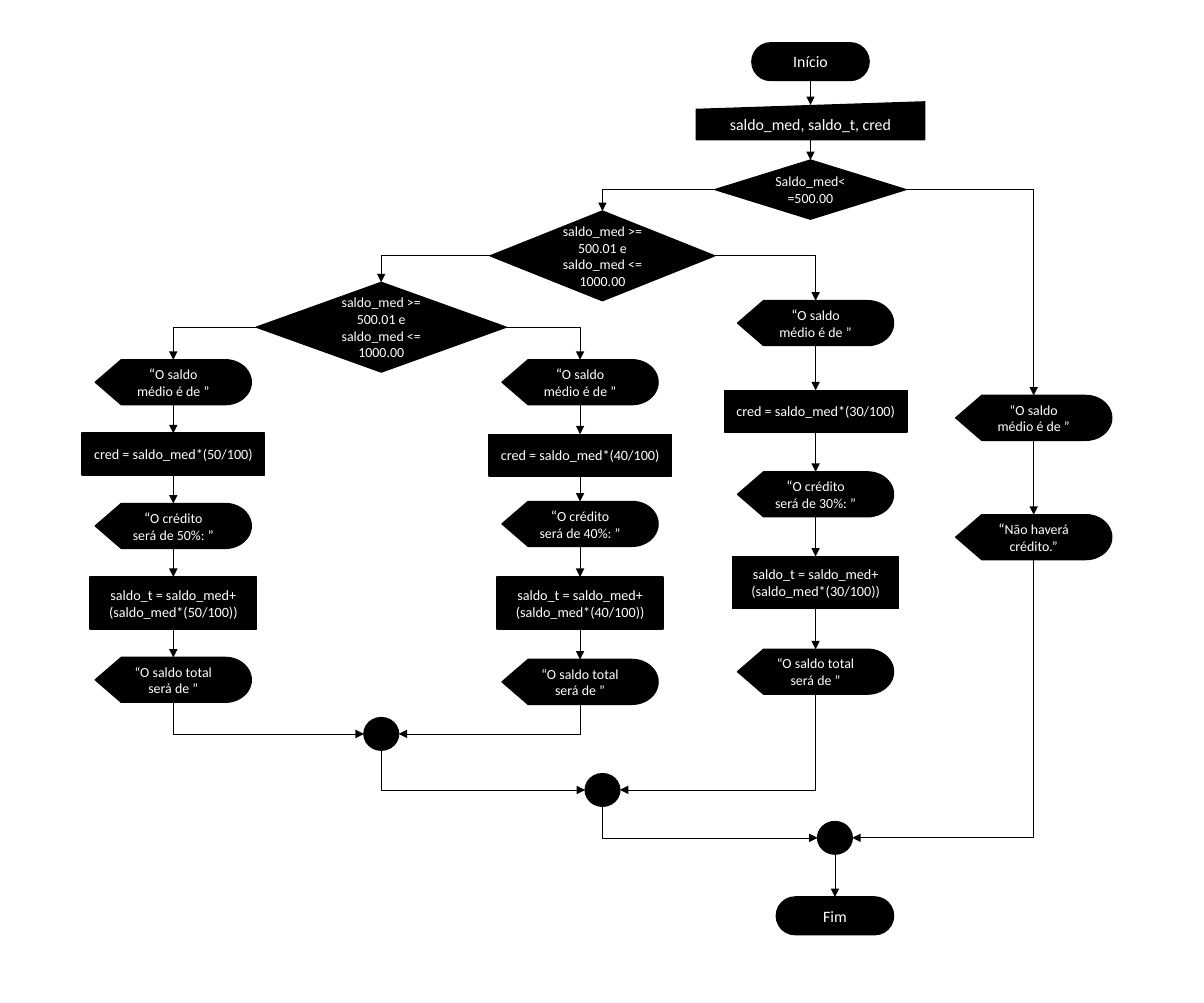
from lxml.etree import SubElement
from pptx import Presentation
from pptx.dml.color import RGBColor
from pptx.enum.shapes import MSO_CONNECTOR as LINK, MSO_SHAPE as SHAPE
from pptx.enum.text import MSO_ANCHOR, PP_ALIGN
from pptx.oxml.ns import qn
from pptx.util import Pt

PX = 9144  # 100 px to the inch
THEME = {
    "ink": RGBColor(0, 0, 0),
    "text": RGBColor(255, 255, 255),
    "font": "Calibri",
    "terminal": 11.2,
    "message": 9.8,
    "quote": 10.5,
    "formula": 10,
    "outline": 1,
    "arrow": 0.5,
}

deck = Presentation()
deck.slide_width, deck.slide_height = 1181 * PX, 984 * PX
slide = deck.slides.add_slide(deck.slide_layouts[6])


def add_step(kind, center, top, width, height, *runs):
    """Place a black step centred on a column; runs are (text, size key)."""
    step = slide.shapes.add_shape(
        kind, int((center - width / 2) * PX), top * PX, width * PX, height * PX)
    step.shadow.inherit = False
    step.fill.solid()
    step.fill.fore_color.rgb = THEME["ink"]
    step.line.color.rgb = THEME["ink"]
    step.line.width = Pt(THEME["outline"])
    frame = step.text_frame
    frame.word_wrap = True
    frame.vertical_anchor = MSO_ANCHOR.MIDDLE
    frame.paragraphs[0].alignment = PP_ALIGN.CENTER
    for text, size in runs:
        run = frame.paragraphs[0].add_run()
        run.text = text
        run.font.name = THEME["font"]
        run.font.size = Pt(THEME[size])
        run.font.color.rgb = THEME["text"]
    return step


def add_arrow(source, target, route="down"):
    """Link two steps: "down", "branch" (across, down) or "join" (down, across)."""
    middle = source.left + source.width // 2
    goal = target.left + target.width // 2
    side = 1 if goal > middle else -1
    if route == "branch":
        x1, y1 = middle + side * source.width // 2, source.top + source.height // 2
        x2, y2 = goal, target.top
    elif route == "join":
        x1, y1 = middle, source.top + source.height
        x2, y2 = goal - side * target.width // 2, target.top + target.height // 2
        # A quarter turn makes the bend leave downwards
        cx, cy, dx, dy = (x1 + x2) // 2, (y1 + y2) // 2, x2 - x1, y2 - y1
        x1, y1, x2, y2 = cx - dy // 2, cy + dx // 2, cx + dy // 2, cy - dx // 2
    else:
        x1, y1, x2, y2 = middle, source.top + source.height, goal, target.top
    arrow = slide.shapes.add_connector(
        LINK.STRAIGHT if route == "down" else LINK.ELBOW, x1, y1, x2, y2)
    arrow.line.color.rgb = THEME["ink"]
    arrow.line.width = Pt(THEME["arrow"])
    props = arrow._element.spPr
    SubElement(props.find(qn("a:ln")), qn("a:tailEnd"), type="triangle")
    SubElement(props, qn("a:effectLst"))
    if route == "down":
        if source.auto_shape_type != SHAPE.FLOWCHART_CONNECTOR:
            arrow.begin_connect(source, 2)
        arrow.end_connect(target, 0)
    else:
        props.find(qn("a:prstGeom")).set("prst", "bentConnector2")
    if route == "join":
        props.find(qn("a:xfrm")).set("rot", "5400000")
    return arrow


# Start, input and the three decisions
start = add_step(SHAPE.FLOWCHART_TERMINATOR, 795, 42, 115, 37, ("Início", "terminal"))
balances = add_step(SHAPE.FLOWCHART_MANUAL_INPUT, 795, 100, 224, 37,
                    ("saldo_med, saldo_t, cred", "terminal"))
low, middle_range, high_range = [
    add_step(SHAPE.FLOWCHART_DECISION, center, top, width, height, (test, "message"))
    for center, top, width, height, test in [
        (795, 157, 187, 58, "Saldo_med<=500.00"),
        (591, 207, 220, 88, "saldo_med >= 500.01 e saldo_med <= 1000.00"),
        (374, 277, 245, 88, "saldo_med >= 500.01 e saldo_med <= 1000.00"),
    ]
]
into_input = add_arrow(start, balances)
into_input.end_y += 3 * PX  # the input's upper edge slopes
add_arrow(balances, low)
add_arrow(low, middle_range, "branch")
add_arrow(middle_range, high_range, "branch")

# Merge points below the decisions
merges = [add_step(SHAPE.FLOWCHART_CONNECTOR, center, top, 34, 32)
          for center, top in [(374, 704), (591, 759), (819, 806)]]

# Credit columns: balance, credit, message, total, message
for percent, center, tops, decision, merge in [
    (50, 170, (353, 425, 494, 566, 645), high_range, merges[0]),
    (40, 569, (353, 426, 492, 566, 647), high_range, merges[0]),
    (30, 800, (295, 383, 463, 546, 637), middle_range, merges[1]),
]:
    column = [
        add_step(kind, center, top, width, height, *runs)
        for top, (kind, width, height, *runs) in zip(tops, [
            (SHAPE.FLOWCHART_DISPLAY, 153, 44,
             ("“", "quote"), ("O saldo médio é de ”", "message")),
            (SHAPE.RECTANGLE, 179, 41, (f"cred = saldo_med*({percent}/100)", "formula")),
            (SHAPE.FLOWCHART_DISPLAY, 153, 44,
             ("“", "quote"), (f"O crédito será de {percent}%: ”", "message")),
            (SHAPE.RECTANGLE, 163, 51,
             (f"saldo_t = saldo_med+(saldo_med*({percent}/100))", "formula")),
            (SHAPE.FLOWCHART_DISPLAY, 153, 44, ("“O saldo total será de ”", "message")),
        ])
    ]
    add_arrow(decision, column[0], "branch")
    for above, below in zip(column, column[1:]):
        add_arrow(above, below)
    add_arrow(column[-1], merge, "join")

# Column without credit
balance = add_step(SHAPE.FLOWCHART_DISPLAY, 1014, 388, 153, 44,
                   ("“O saldo médio é de ”", "message"))
refusal = add_step(SHAPE.FLOWCHART_DISPLAY, 1014, 505, 153, 44,
                   ("“", "quote"), ("Não haverá crédito.”", "message"))
add_arrow(low, balance, "branch")
add_arrow(balance, refusal)
add_arrow(refusal, merges[2], "join")

# Merges run on to the end
for merge, following in zip(merges, merges[1:]):
    add_arrow(merge, following, "join")
end = add_step(SHAPE.FLOWCHART_TERMINATOR, 819, 880, 115, 37, ("Fim", "terminal"))
add_arrow(merges[2], end)

deck.save("out.pptx")
